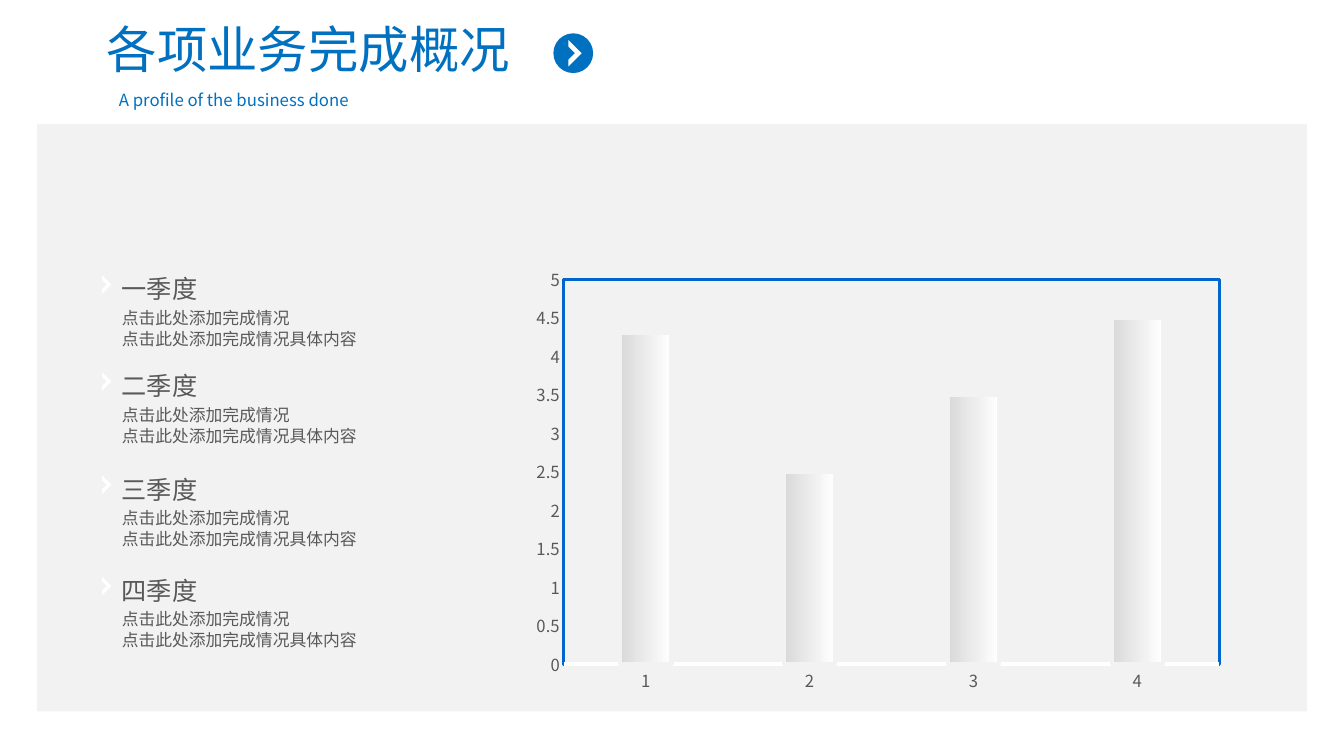
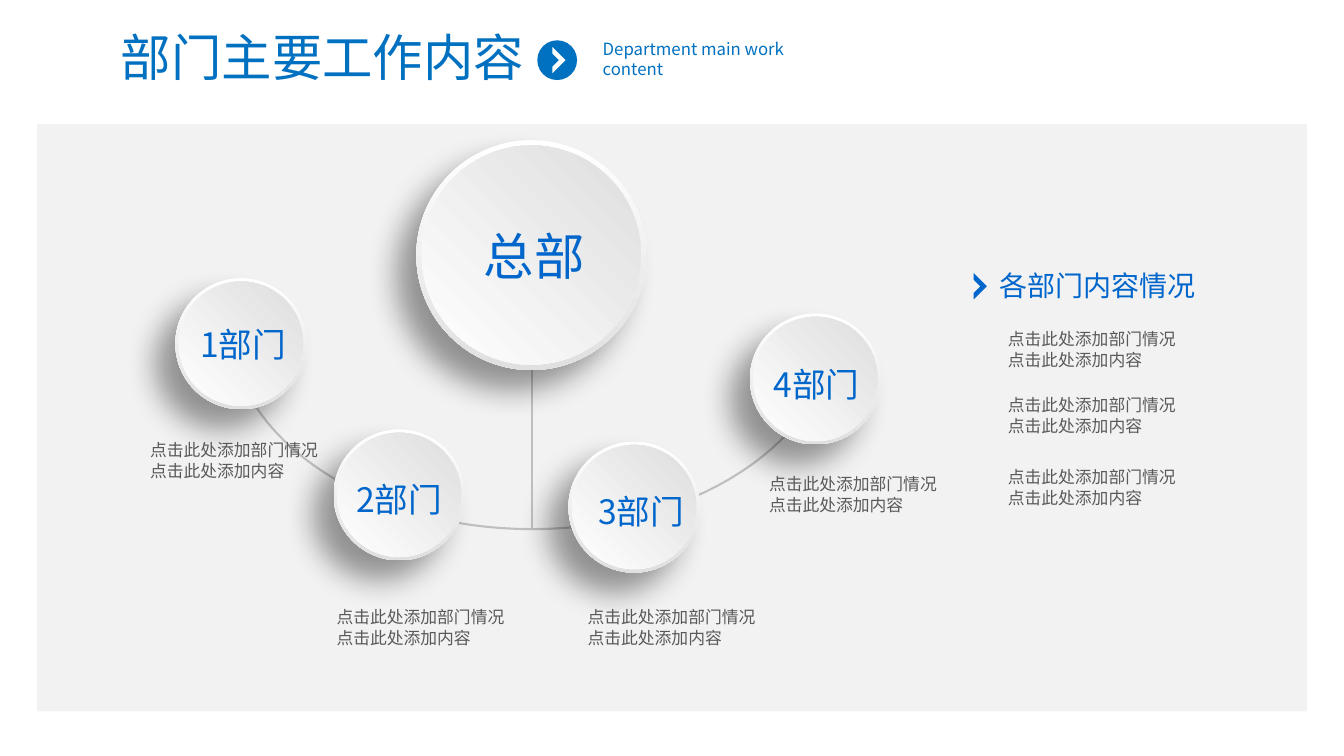
"""Build a two-slide business report: quarterly results and department work."""
from lxml import etree
from pptx import Presentation
from pptx.chart.data import CategoryChartData
from pptx.dml.color import RGBColor
from pptx.enum.chart import XL_CHART_TYPE, XL_TICK_MARK
from pptx.enum.shapes import MSO_CONNECTOR, MSO_SHAPE
from pptx.enum.text import PP_ALIGN
from pptx.oxml import parse_xml
from pptx.oxml.ns import nsdecls, qn
from pptx.util import Pt

RECTANGLE, OVAL = MSO_SHAPE.RECTANGLE, MSO_SHAPE.OVAL
STRAIGHT = MSO_CONNECTOR.STRAIGHT
COLUMNS = XL_CHART_TYPE.COLUMN_CLUSTERED
NO_TICK = XL_TICK_MARK.NONE
LEFT, CENTER = PP_ALIGN.LEFT, PP_ALIGN.CENTER

FONT = "Noto Sans CJK SC"
WHITE = RGBColor(0xFF, 0xFF, 0xFF)
PANEL = RGBColor(0xF2, 0xF2, 0xF2)
TITLE_BLUE = RGBColor(0x00, 0x70, 0xC0)
LABEL_BLUE = RGBColor(0x00, 0x66, 0xCC)
TEXT_GRAY = RGBColor(0x59, 0x59, 0x59)
LINK_GRAY = RGBColor(0xBF, 0xBF, 0xBF)
BAR_GRAY = RGBColor(0xD9, 0xD9, 0xD9)
RIM_GRAY = RGBColor(0xE0, 0xE0, 0xE0)
FACE_GRAY = RGBColor(0xDD, 0xDE, 0xDD)

RESULTS_HEAD = {
    "title": ("各项业务完成概况", 46, 9.4, 348.5),
    "subtitle": ("A profile of the business done", 77.8, 60.5, 363),
    "badge": (395.3, 23.8),
}
WORK_HEAD = {
    "title": ("部门主要工作内容", 54.7, 15.1, 351.4),
    "subtitle": ("Department main work content", 423.4, 23.8, 147.6),
    "badge": (383.8, 28.8),
}
QUARTERS = [("一季度", 183.6), ("二季度", 252.9), ("三季度", 326.7), ("四季度", 399)]
QUARTER_NOTE = ["点击此处添加完成情况", "点击此处添加完成情况具体内容"]
RESULTS = {"1": 4.3, "2": 2.5, "3": 3.5, "4": 4.5}
CHART_AREA = (372.2, 183.6, 509, 316)
PLOT_LAYOUT = {"x": 0.06, "y": 0.05, "w": 0.92, "h": 0.87}

HEAD_OFFICE = ("总部", (297.4, 100.1), (329.8, 157))
DEPARTMENTS = [
    ("1部门", (125.3, 198.7), (121.7, 228.2), (100.1, 309.6)),
    ("2部门", (238.3, 306.7), (233.3, 338.4), (233.3, 429.1)),
    ("3部门", (406.1, 315.4), (406.1, 347), (412.6, 429.1)),
    ("4部门", (535.7, 223.9), (531.4, 256.3), (542.2, 334.1)),
]
WORK_NOTE = ["点击此处添加部门情况", "点击此处添加内容"]
SIDE_HEADING = "各部门内容情况"
SIDE_NOTE_TOPS = [230.4, 277.9, 329]
HALF_ARC = [(177.8, 282.2), (208.8, 338.4), (288, 378), (380.2, 378)]
STEM_TOP = 235.4
ARC_STEPS = 24


def add_text(page, lines, left, top, width, height, size=12, color=TEXT_GRAY,
             align=LEFT, spacing=None):
    box = page.shapes.add_textbox(Pt(left), Pt(top), Pt(width), Pt(height))
    frame = box.text_frame
    frame.word_wrap = True
    for index, line in enumerate(lines):
        para = frame.paragraphs[0] if index == 0 else frame.add_paragraph()
        para.alignment = align
        if spacing:
            para.line_spacing = Pt(spacing)
        span = para.add_run()
        span.text = line
        span.font.name = FONT
        span.font.size = Pt(size)
        span.font.color.rgb = color
        east = etree.SubElement(span.font._element, qn("a:ea"))
        east.set("typeface", FONT)


def add_note(page, lines, left, top, width=168):
    add_text(page, lines, left, top, width, 37.4, spacing=15)


def set_gradient(fill, start, end, angle):
    fill.gradient()
    fill.gradient_angle = angle
    for stop, color in zip(fill.gradient_stops, (start, end)):
        stop.color.rgb = color


def add_plain(page, kind, left, top, width, height, color=None):
    shape = page.shapes.add_shape(kind, Pt(left), Pt(top), Pt(width), Pt(height))
    shape.shadow.inherit = False
    shape.line.fill.background()
    if color is not None:
        shape.fill.solid()
        shape.fill.fore_color.rgb = color
    return shape


def add_outline(page, points, close):
    corners = [(Pt(x), Pt(y)) for x, y in points]
    builder = page.shapes.build_freeform(*corners[0])
    builder.add_line_segments(corners[1:], close=close)
    outline = builder.convert_to_shape()
    outline.shadow.inherit = False
    return outline


def add_chevron(page, left, top, height, color):
    quarter = height / 4
    steps = [(0, 0), (2, 2), (0, 4), (0, 3), (1, 2), (0, 1)]
    points = [(left + x * quarter, top + y * quarter) for x, y in steps]
    chevron = add_outline(page, points, True)
    chevron.fill.solid()
    chevron.fill.fore_color.rgb = color
    chevron.line.fill.background()


def add_page(deck, head):
    page = deck.slides.add_slide(deck.slide_layouts[6])
    add_plain(page, RECTANGLE, 26.6, 88.6, 907, 419.6, PANEL)
    title, left, top, width = head["title"]
    add_text(page, [title], left, top, width, 51, size=36, color=TITLE_BLUE, align=CENTER)
    subtitle, left, top, width = head["subtitle"]
    add_text(page, [subtitle], left, top, width, 21.6, color=TITLE_BLUE)
    left, top = head["badge"]
    add_plain(page, OVAL, left, top, 28.4, 28.4, TITLE_BLUE)
    add_chevron(page, left + 10.8, top + 4.8, 18.8, WHITE)
    return page


def style_plot_area(chart):
    plot_area = chart._chartSpace.chart.plotArea
    for old in plot_area.findall(qn("c:layout")):
        plot_area.remove(old)
    sizes = "".join(f'<c:{key} val="{value}"/>' for key, value in PLOT_LAYOUT.items())
    plot_area.insert(0, parse_xml(
        f'<c:layout {nsdecls("c")}><c:manualLayout><c:layoutTarget val="inner"/>'
        f'<c:xMode val="edge"/><c:yMode val="edge"/>{sizes}</c:manualLayout></c:layout>'))
    plot_area.append(parse_xml(
        f'<c:spPr {nsdecls("c", "a")}><a:noFill/><a:ln w="{Pt(2.25)}"><a:solidFill>'
        f'<a:srgbClr val="{LABEL_BLUE}"/></a:solidFill></a:ln></c:spPr>'))


def add_results_chart(page):
    data = CategoryChartData()
    data.categories = list(RESULTS)
    data.add_series("Series 1", list(RESULTS.values()))
    area = [Pt(length) for length in CHART_AREA]
    chart = page.shapes.add_chart(COLUMNS, *area, data).chart
    chart.has_legend = False
    chart.has_title = False
    chart.font.name = FONT
    chart.font.size = Pt(10)
    for axis in (chart.category_axis, chart.value_axis):
        axis.major_tick_mark = axis.minor_tick_mark = NO_TICK
        axis.has_major_gridlines = False
        axis.tick_labels.font.name = FONT
        axis.tick_labels.font.size = Pt(11.9)
        axis.tick_labels.font.color.rgb = TEXT_GRAY
    chart.category_axis.format.line.color.rgb = WHITE
    chart.category_axis.format.line.width = Pt(3.25)
    chart.value_axis.format.line.fill.background()
    chart.value_axis.minimum_scale = 0
    chart.value_axis.maximum_scale = 5
    chart.value_axis.major_unit = 0.5
    plot = chart.plots[0]
    plot.vary_by_categories = False
    plot.gap_width = 219
    plot.overlap = -27
    bars = plot.series[0].format
    set_gradient(bars.fill, BAR_GRAY, WHITE, 0)
    bars.line.color.rgb = PANEL
    bars.line.width = Pt(3)
    style_plot_area(chart)


def add_disc(page, left, top, size, rim):
    outer = add_plain(page, OVAL, left, top, size, size)
    set_gradient(outer.fill, WHITE, RIM_GRAY, 270)
    effects = outer._element.spPr.find(qn("a:effectLst"))
    effects.append(parse_xml(
        f'<a:outerShdw {nsdecls("a")} blurRad="{Pt(22)}" dist="{Pt(20)}" dir="8100000" '
        'algn="tr" rotWithShape="0"><a:srgbClr val="000000"><a:alpha val="40000"/>'
        '</a:srgbClr></a:outerShdw>'))
    face = size - 2 * rim
    inner = add_plain(page, OVAL, left + rim, top + rim, face, face)
    set_gradient(inner.fill, WHITE, FACE_GRAY, 45)


def curve_point(points, t):
    weights = [(1 - t) ** 3, 3 * t * (1 - t) ** 2, 3 * t * t * (1 - t), t ** 3]
    return tuple(sum(w * point[axis] for w, point in zip(weights, points)) for axis in (0, 1))


def add_links(page):
    middle, bottom = HALF_ARC[-1]
    half = [curve_point(HALF_ARC, step / ARC_STEPS) for step in range(ARC_STEPS + 1)]
    mirrored = [(2 * middle - x, y) for x, y in reversed(half[:-1])]
    arc = add_outline(page, half + mirrored, False)
    arc.fill.background()
    stem = page.shapes.add_connector(STRAIGHT, Pt(middle), Pt(STEM_TOP), Pt(middle), Pt(bottom))
    etree.SubElement(stem._element.spPr, qn("a:effectLst"))
    for link in (arc, stem):
        link.line.color.rgb = LINK_GRAY
        link.line.width = Pt(1.5)


def build_results(deck):
    page = add_page(deck, RESULTS_HEAD)
    add_results_chart(page)
    for name, top in QUARTERS:
        add_text(page, [name], 79.9, top, 141, 37.4, size=18, spacing=30)
        add_note(page, QUARTER_NOTE, 79.9, top + 32, 230)
        add_chevron(page, 72.9, top + 13, 13.2, WHITE)


def build_work(deck):
    page = add_page(deck, WORK_HEAD)
    add_links(page)
    name, disc, label = HEAD_OFFICE
    add_disc(page, *disc, 164.2, 3.8)
    for _, spot, _, _ in DEPARTMENTS:
        add_disc(page, *spot, 93.6, 2.4)
    add_text(page, [name], *label, 103.7, 51, size=36, color=LABEL_BLUE, align=CENTER)
    for name, _, label, note in DEPARTMENTS:
        add_text(page, [name], *label, 103.7, 36, size=24, color=LABEL_BLUE, align=CENTER)
        add_note(page, WORK_NOTE, *note)
    add_chevron(page, 695.5, 195.1, 18.8, LABEL_BLUE)
    add_text(page, [SIDE_HEADING], 707, 187.9, 198, 31.7, size=20, color=LABEL_BLUE)
    for top in SIDE_NOTE_TOPS:
        add_note(page, WORK_NOTE, 712.8, top)


deck = Presentation()
deck.slide_width, deck.slide_height = Pt(960), Pt(540)
build_results(deck)
build_work(deck)
deck.save("out.pptx")
